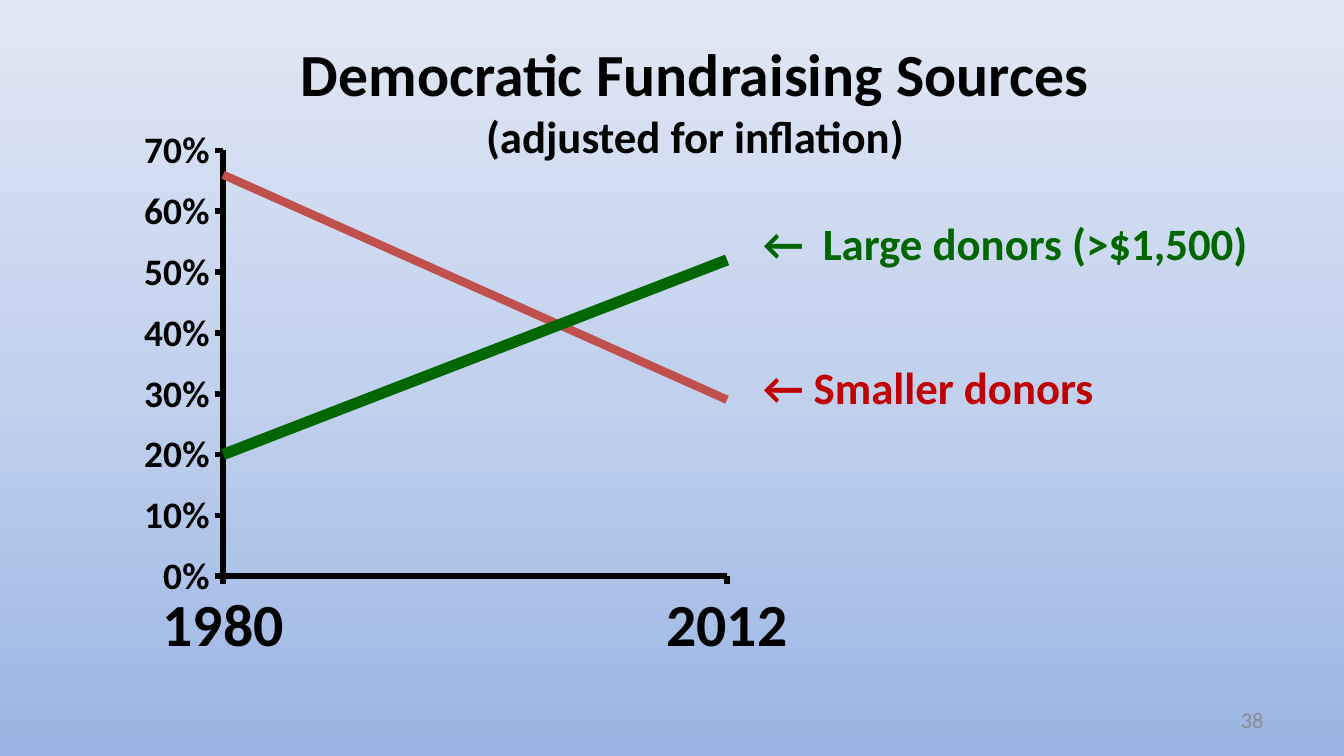
from copy import deepcopy
from dataclasses import dataclass

from lxml.etree import SubElement
from pptx import Presentation
from pptx.chart.data import CategoryChartData as Data
from pptx.dml.color import RGBColor as Rgb
from pptx.enum.chart import XL_CHART_TYPE as Kind, XL_MARKER_STYLE as Mark
from pptx.enum.chart import XL_TICK_MARK as Tick
from pptx.enum.text import MSO_ANCHOR as Anchor, PP_ALIGN as Align
from pptx.oxml.ns import qn
from pptx.util import Cm, Pt

FONT = "Calibri"
HEX = {
    "ink": "000000", "grey": "8C8C8C",
    "large": "006600", "small": "C0504D", "red": "C00000",
    "low": "9AB5E4", "mid": "C2D1ED", "high": "E1E8F5",
}


@dataclass
class Line:
    text: str
    size: int
    color: str
    bold: bool = True
    gap: float = 0
    hang: float = 0


@dataclass
class Box:
    left: float
    top: float
    width: float
    height: float
    lines: list[Line]
    align: Align = Align.LEFT
    anchor: Anchor = Anchor.TOP


@dataclass
class Trend:
    name: str
    values: tuple[float, float]
    color: str
    width: float


TRENDS = [
    Trend("Series 1", (0.66, 0.29), "small", 4.5),
    Trend("Series 2", (0.2, 0.52), "large", 6),
]
BOXES = [
    Box(18.21, 13.23, 5.92, 0.76, [Line("38", 12, "grey", bold=False)],
        Align.RIGHT, Anchor.MIDDLE),
    Box(14.17, 3.96, 9.93, 5.38, [
        Line("←\tLarge donors (>$1,500)", 24, "large", hang=1.13),
        Line("← Smaller donors", 24, "red", gap=48),
    ]),
    Box(4.88, 0.58, 16.51, 2.64, [
        Line("Democratic Fundraising Sources", 32, "ink"),
        Line("(adjusted for inflation)", 24, "ink"),
    ], Align.CENTER),
]


def rgb(name: str) -> Rgb:
    return Rgb.from_string(HEX[name])


def style(font, size: float, color: str, bold: bool = True) -> None:
    font.name, font.size, font.bold = FONT, Pt(size), bold
    font.color.rgb = rgb(color)


def stroke(line, color: str, width: float) -> None:
    line.color.rgb = rgb(color)
    line.width = Pt(width)


def paint(slide) -> None:
    """Fill the background with three stops, rising from the bottom."""
    fill = slide.background.fill
    fill.gradient()
    fill.gradient_angle = 90
    stops = next(slide.element.iter(qn("a:gsLst")))
    stops.insert(1, deepcopy(stops[0]))
    for stop, place, name in zip(fill.gradient_stops, (0, 0.5, 1),
                                 ("low", "mid", "high")):
        stop.position = place
        stop.color.rgb = rgb(name)


def write(slide, box: Box) -> None:
    shape = slide.shapes.add_textbox(
        Cm(box.left), Cm(box.top), Cm(box.width), Cm(box.height))
    frame = shape.text_frame
    frame.word_wrap = True
    frame.vertical_anchor = box.anchor
    for i, line in enumerate(box.lines):
        para = frame.add_paragraph() if i else frame.paragraphs[0]
        para.text = line.text
        para.alignment = box.align
        para.space_before = Pt(line.gap)
        style(para.font, line.size, line.color, line.bold)
        if line.hang:
            props = para._p.get_or_add_pPr()
            props.set("marL", str(Cm(line.hang)))
            props.set("indent", str(-Cm(line.hang)))


def place(chart, **parts: float) -> None:
    """Fix the inner plot area, in fractions of the chart."""
    area = chart.plots[0]._element.getparent()
    for old in area.findall(qn("c:layout")):
        area.remove(old)
    layout = SubElement(area, qn("c:layout"))
    area.insert(0, layout)
    manual = SubElement(layout, qn("c:manualLayout"))
    marks = {"layoutTarget": "inner", "xMode": "edge", "yMode": "edge"}
    for tag, val in (marks | parts).items():
        SubElement(manual, qn(f"c:{tag}")).set("val", str(val))


def plot(slide) -> None:
    data = Data(number_format="0%")
    data.categories = ["1980", "2012"]
    for trend in TRENDS:
        data.add_series(trend.name, trend.values)
    chart = slide.shapes.add_chart(
        Kind.LINE, Cm(2.44), Cm(2.21), Cm(12.7), Cm(10.59), data).chart
    chart.has_legend = chart.has_title = False
    style(chart.font, 32, "ink")
    chart.plots[0].vary_by_categories = False

    for row, trend in zip(chart.plots[0].series, TRENDS):
        row.smooth = False
        row.marker.style = Mark.NONE
        stroke(row.format.line, trend.color, trend.width)

    cat, val = chart.category_axis, chart.value_axis
    for axis, size in ((cat, 32), (val, 20)):
        axis.has_major_gridlines = False
        axis.major_tick_mark, axis.minor_tick_mark = Tick.OUTSIDE, Tick.NONE
        stroke(axis.format.line, "ink", 3)
        style(axis.tick_labels.font, size, "ink")
    val.minimum_scale, val.maximum_scale, val.major_unit = 0, 0.7, 0.1
    val.tick_labels.number_format = "0%"
    val.tick_labels.number_format_is_linked = False

    # Lines start right on the value axis
    cross = val._element.find(qn("c:crossBetween"))
    if cross is None:
        cross = SubElement(val._element, qn("c:crossBetween"))
        val._element.find(qn("c:majorUnit")).addprevious(cross)
    cross.set("val", "midCat")
    place(chart, x=0.14, y=0.06, w=0.75, h=0.76)


def main() -> None:
    deck = Presentation()
    deck.slide_width, deck.slide_height = Cm(25.4), Cm(14.29)
    slide = deck.slides.add_slide(deck.slide_layouts[6])
    paint(slide)
    number, *notes = BOXES
    write(slide, number)
    plot(slide)
    for box in notes:
        write(slide, box)
    deck.save("out.pptx")


if __name__ == "__main__":
    main()
